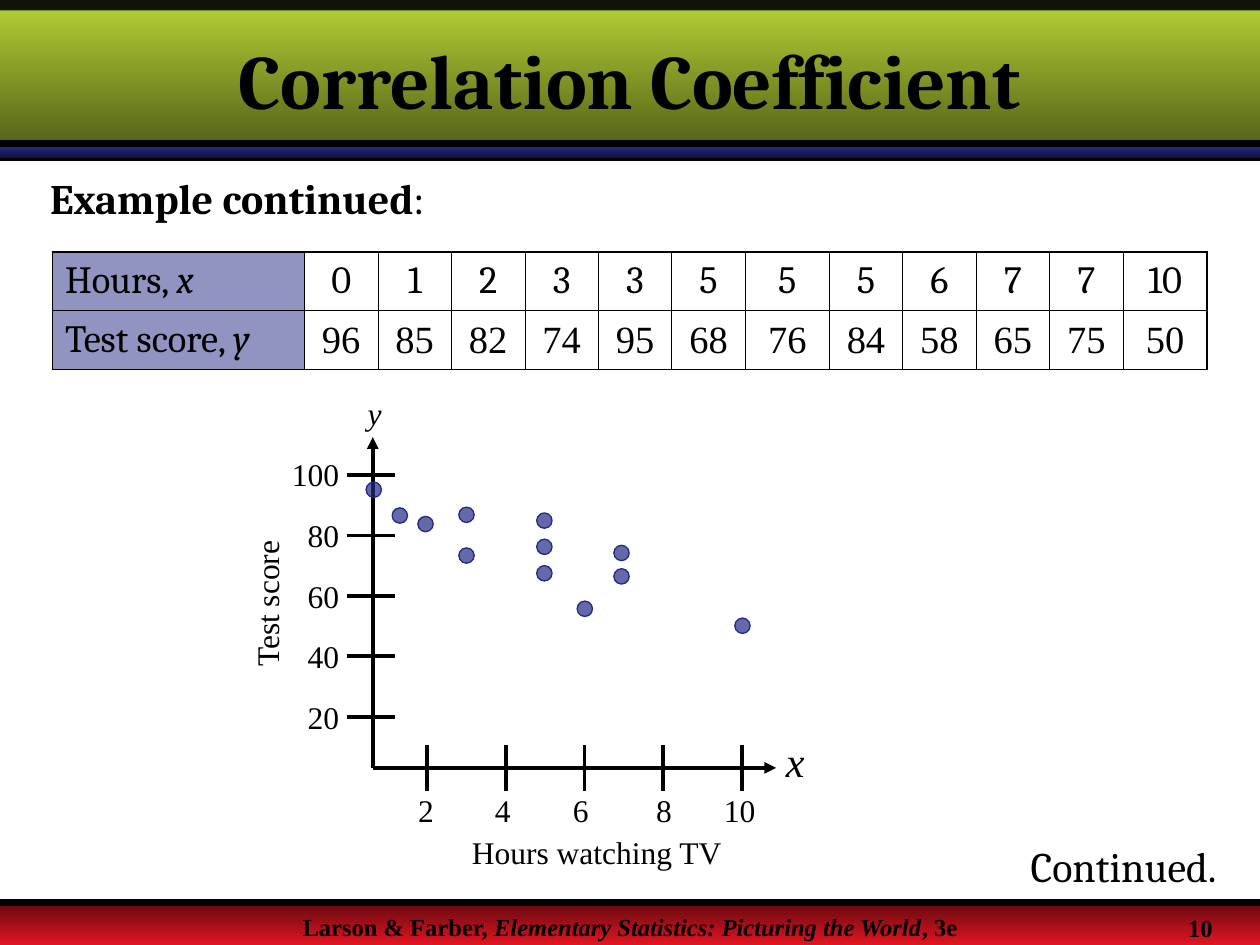
from lxml import etree
from pptx import Presentation
from pptx.dml.color import RGBColor
from pptx.enum.shapes import MSO_CONNECTOR, MSO_SHAPE
from pptx.enum.text import MSO_ANCHOR, MSO_AUTO_SIZE, PP_ALIGN
from pptx.oxml.ns import qn
from pptx.util import Pt

LEFT, CENTER, RIGHT = PP_ALIGN.LEFT, PP_ALIGN.CENTER, PP_ALIGN.RIGHT
MIDDLE, NO_AUTOSIZE = MSO_ANCHOR.MIDDLE, MSO_AUTO_SIZE.NONE
RECT, OVAL, STRAIGHT = MSO_SHAPE.RECTANGLE, MSO_SHAPE.OVAL, MSO_CONNECTOR.STRAIGHT

BLACK = RGBColor(0x00, 0x00, 0x00)
NAVY = RGBColor(0x24, 0x29, 0x85)
DARK_NAVY = RGBColor(0x10, 0x12, 0x3D)
LIME = RGBColor(0xB5, 0xD3, 0x35)
OLIVE = RGBColor(0x53, 0x61, 0x18)
MAROON = RGBColor(0x67, 0x09, 0x0F)
RED = RGBColor(0xE1, 0x15, 0x21)

SERIF, TIMES = "Cambria", "Times New Roman"
WIDTH, HEIGHT = 720, 540

HOURS = [0, 1, 2, 3, 3, 5, 5, 5, 6, 7, 7, 10]
SCORES = [96, 85, 82, 74, 95, 68, 76, 84, 58, 65, 75, 50]
COLUMN_WIDTHS = [144] + [42] * 6 + [48] + [42] * 4 + [48]

AXIS_X, AXIS_Y = 213, 438.8
X_TICK_LABELS = [("2", 243.4), ("4", 287.3), ("6", 331.9), ("8", 379.4), ("10", 422.6)]
Y_TICK_LABELS = ["100", "80", "60", "40", "20"]
DOT_SIZE = 8.8
DOT_CENTRES = [
    (213.6, 279.9), (228.5, 294.6), (243.2, 299.5), (266.6, 317.5),
    (266.6, 294.2), (311.1, 327.6), (311.1, 312.5), (311.1, 297.5),
    (334.2, 347.9), (355.2, 329.4), (355.2, 316), (424.3, 357.6),
]


def write(tf, *parts, size=18, font=TIMES, bold=False, align=LEFT):
    """Fill one paragraph; each part is text or (text, {font attribute: value})."""
    p = tf.paragraphs[0]
    p.alignment = align
    for part in parts:
        text, changes = (part, {}) if isinstance(part, str) else part
        r = p.add_run()
        r.text = text
        r.font.size = Pt(size)
        r.font.name = font
        r.font.bold = bold
        r.font.color.rgb = BLACK
        for name, value in changes.items():
            setattr(r.font, name, value)


def add_text(shapes, box, *parts, **fmt):
    sp = shapes.add_textbox(*map(Pt, box))
    sp.text_frame.word_wrap = True
    write(sp.text_frame, *parts, **fmt)
    return sp


def fill_translucent(fill, color, percent):
    fill.solid()
    fill.fore_color.rgb = color
    for clr in fill._xPr.iter(qn("a:srgbClr")):
        etree.SubElement(clr, qn("a:alpha"), val=str(percent * 1000))


def add_plain_shape(shapes, kind, *box):
    sp = shapes.add_shape(kind, *map(Pt, box))
    sp.shadow.inherit = False
    return sp


def add_band(shapes, top, height, upper, lower):
    """Full-width rectangle shading from the upper to the lower colour."""
    sp = add_plain_shape(shapes, RECT, 0, top, WIDTH, height)
    sp.line.fill.background()
    sp.fill.gradient()
    sp.fill.gradient_angle = 270
    for stop, color in zip(sp.fill.gradient_stops, (upper, lower)):
        stop.color.rgb = color


def add_line(shapes, x1, y1, x2, y2, width=2.25, arrow=False):
    c = shapes.add_connector(STRAIGHT, *map(Pt, (x1, y1, x2, y2)))
    c.line.color.rgb = BLACK
    c.line.width = Pt(width)
    if arrow:
        etree.SubElement(c.line._get_or_add_ln(), qn("a:tailEnd"), type="triangle")
    etree.SubElement(c._element.spPr, qn("a:effectLst"))


def add_frame(shapes):
    add_band(shapes, 516, 24, MAROON, RED)
    add_line(shapes, 0, 90, WIDTH, 90, 4)
    add_band(shapes, 84, 6, NAVY, DARK_NAVY)
    add_band(shapes, 0, 84, LIME, OLIVE)
    add_line(shapes, 0, 516, WIDTH, 516, 4)
    strip = add_plain_shape(shapes, RECT, 0, 0, WIDTH, 6)
    strip.line.fill.background()
    fill_translucent(strip.fill, BLACK, 90)
    add_line(shapes, 0, 82, WIDTH, 82, 4)
    add_text(shapes, (0, 517.7, WIDTH, 22), "Larson & Farber, ",
             ("Elementary Statistics: Picturing the World", {"italic": True}), ", 3e",
             size=14, bold=True, align=CENTER)
    add_text(shapes, (671.8, 518.4, 45, 21.6), "10", size=14, bold=True)


def set_title(s, text):
    title = s.shapes.title
    title.left, title.top, title.width, title.height = map(Pt, (0, 6, WIDTH, 78))
    s.shapes._spTree.append(title._element)  # in front of the bands
    tf = title.text_frame
    tf.word_wrap = True
    tf.auto_size = NO_AUTOSIZE
    tf.vertical_anchor = MIDDLE
    write(tf, text, size=44, font=SERIF, bold=True, align=CENTER)


def set_borders(cell, outer_sides):
    tcPr = cell._tc.get_or_add_tcPr()
    for side in "LRTB":
        width = 1.08 if side in outer_sides else 0.45
        ln = etree.SubElement(tcPr, qn("a:ln" + side), w=str(Pt(width)))
        fill = etree.SubElement(ln, qn("a:solidFill"))
        etree.SubElement(fill, qn("a:srgbClr"), val=str(BLACK))


def add_data_table(shapes):
    rows = [("Hours, ", "x", HOURS, SERIF), ("Test score, ", "y", SCORES, TIMES)]
    last = len(HOURS)
    box = (30, 144, sum(COLUMN_WIDTHS), 67.2)
    table = shapes.add_table(len(rows), last + 1, *map(Pt, box)).table
    for column, width in zip(table.columns, COLUMN_WIDTHS):
        column.width = Pt(width)
    for i, (label, variable, values, font) in enumerate(rows):
        for j in range(last + 1):
            cell = table.cell(i, j)
            cell.vertical_anchor = MIDDLE
            set_borders(cell, "TB"[i] + {0: "L", last: "R"}.get(j, ""))
            if j == 0:
                fill_translucent(cell.fill, NAVY, 50)
                write(cell.text_frame, label, (variable, {"italic": True}),
                      size=22, font=SERIF)
            else:
                cell.fill.background()
                write(cell.text_frame, str(values[j - 1]), size=22, font=font, align=CENTER)


def add_axes(shapes):
    add_line(shapes, AXIS_X, AXIS_Y, 443.5, AXIS_Y, arrow=True)
    add_line(shapes, AXIS_X, AXIS_Y, AXIS_X, 249.8, arrow=True)
    for i, (label, centre) in enumerate(X_TICK_LABELS):
        x = 244 + 45 * i
        add_line(shapes, x, 426, x, 452)
        add_text(shapes, (centre - 21, 448.7, 42, 29), label, align=CENTER)
    for i, label in enumerate(Y_TICK_LABELS):
        y = 271.5 + 34.5 * i
        add_line(shapes, 198, y, 226, y)
        add_text(shapes, (157.7, 256.5 + 34.75 * i, 43.2, 29), label, align=RIGHT)
    add_text(shapes, (442, 417, 42.5, 36), ("x", {"italic": True}), size=24)
    add_text(shapes, (203, 221.8, 50, 29), ("y", {"italic": True}))
    add_text(shapes, (239, 472.5, 204, 29), "Hours watching TV", align=CENTER)
    add_text(shapes, (86.4, 330.5, 132, 29), "Test score", align=CENTER).rotation = 270


def add_dot(shapes, x, y):
    radius = DOT_SIZE / 2
    sp = add_plain_shape(shapes, OVAL, x - radius, y - radius, DOT_SIZE, DOT_SIZE)
    fill_translucent(sp.fill, NAVY, 70)
    sp.line.color.rgb = NAVY
    sp.line.width = Pt(0.75)


def main():
    prs = Presentation()
    prs.slide_width, prs.slide_height = Pt(WIDTH), Pt(HEIGHT)
    s = prs.slides.add_slide(prs.slide_layouts[5])
    add_frame(s.shapes)
    set_title(s, "Correlation Coefficient")
    add_data_table(s.shapes)
    add_text(s.shapes, (21.6, 95, 648, 36), ("Example continued", {"bold": True}), ":",
             size=24, font=SERIF)
    add_axes(s.shapes.add_group_shape().shapes)
    for x, y in DOT_CENTRES:
        add_dot(s.shapes, x, y)
    add_text(s.shapes, (581.8, 476.6, 136.8, 36), "Continued.", size=24, font=SERIF)
    prs.save("out.pptx")


if __name__ == "__main__":
    main()
